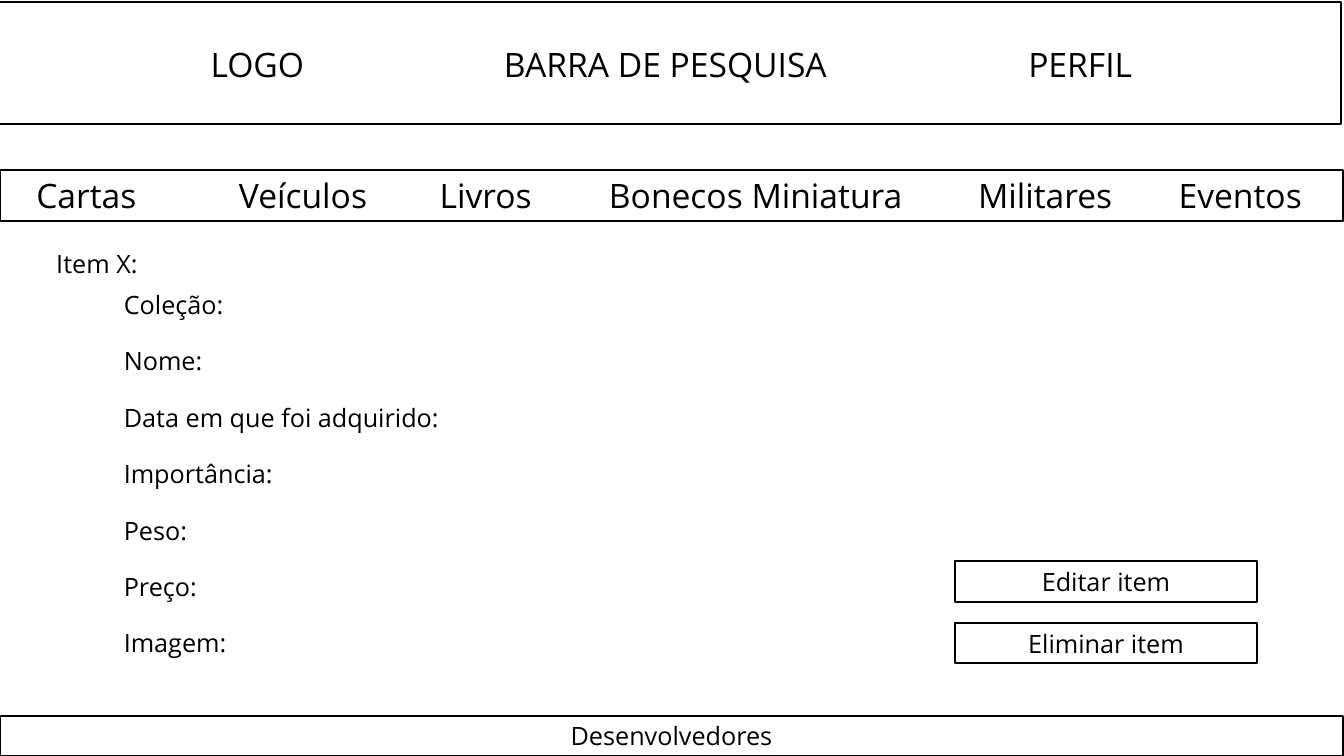
from lxml.etree import SubElement
from pptx import Presentation
from pptx.dml.color import RGBColor
from pptx.enum.shapes import MSO_SHAPE
from pptx.enum.text import MSO_ANCHOR, PP_ALIGN
from pptx.oxml.ns import qn
from pptx.util import Inches, Pt


def color(value):
    return RGBColor.from_string(value)


class Wireframe:
    font = "Open Sans"
    ink = "000000"
    paper = "FFFFFF"
    border = 1.5

    def __init__(self, deck):
        self.page = deck.slides.add_slide(deck.slide_layouts[6])

    def add_text(self, shape, lines, size, align, gap=0, tabs=(), **frame_values):
        frame = shape.text_frame
        values = {"word_wrap": True, **frame_values}
        for name, value in values.items():
            setattr(frame, name, value)
        for index, line in enumerate(lines):
            para = frame.add_paragraph() if index else frame.paragraphs[0]
            para.alignment = align
            para.space_before = Pt(gap if index else 0)
            if tabs:
                self.set_tabs(para, tabs)
            span = para.add_run()
            span.text = line
            for name, value in {"name": self.font, "size": Pt(size)}.items():
                setattr(span.font, name, value)
            span.font.color.rgb = color(self.ink)

    def set_tabs(self, para, tabs):
        properties = para._p.get_or_add_pPr()
        tab_list = SubElement(properties, qn("a:tabLst"))
        for position in tabs:
            SubElement(tab_list, qn("a:tab"), pos=str(Inches(position)), algn="l")

    def box(self, bounds, text, size=18, align=PP_ALIGN.CENTER, **values):
        box = self.page.shapes.add_shape(MSO_SHAPE.RECTANGLE, *map(Inches, bounds))
        box.shadow.inherit = False
        box.fill.solid()
        box.fill.fore_color.rgb = color(self.paper)
        box.line.color.rgb = color(self.ink)
        box.line.width = Pt(self.border)
        values = {"vertical_anchor": MSO_ANCHOR.MIDDLE, **values}
        self.add_text(box, [text], size, align, **values)

    def bar(self, bounds, entries, tabs, **values):
        self.box(bounds, "\t".join(entries), 24, PP_ALIGN.LEFT, tabs=tabs, **values)

    def label(self, bounds, lines, gap=0):
        label = self.page.shapes.add_textbox(*map(Inches, bounds))
        self.add_text(label, lines, 18, PP_ALIGN.LEFT, gap)


def main():
    deck = Presentation()
    deck.slide_width = Inches(13.33)
    deck.slide_height = Inches(7.5)
    wireframe = Wireframe(deck)

    wireframe.bar(
        (-0.01, 0.02, 13.31, 1.21),
        ["", "LOGO", "BARRA DE PESQUISA", "PERFIL"],
        (2, 4.91, 10.11),
        vertical_anchor=MSO_ANCHOR.TOP,
        margin_top=Inches(0.42),
    )
    wireframe.label((0.46, 2.41, 5.77, 0.4), ["Item X:"])
    wireframe.bar(
        (0, 1.69, 13.32, 0.5),
        ["Cartas", "Veículos", "Livros", "Bonecos Miniatura", "Militares", "Eventos"],
        (2.01, 4, 5.68, 9.34, 11.33),
        margin_left=Inches(0.36),
    )
    wireframe.box((0, 7.1, 13.32, 0.4), "Desenvolvedores")

    fields = [
        "Coleção:",
        "Nome:",
        "Data em que foi adquirido:",
        "Importância:",
        "Peso:",
        "Preço:",
        "Imagem:",
    ]
    wireframe.label((1.13, 2.82, 4.4, 4.04), fields, gap=18.7)

    for index, action in enumerate(["Editar item", "Eliminar item"]):
        wireframe.box((9.47, 5.57 + 0.61 * index, 3, 0.4), action)

    deck.save("out.pptx")


if __name__ == "__main__":
    main()
